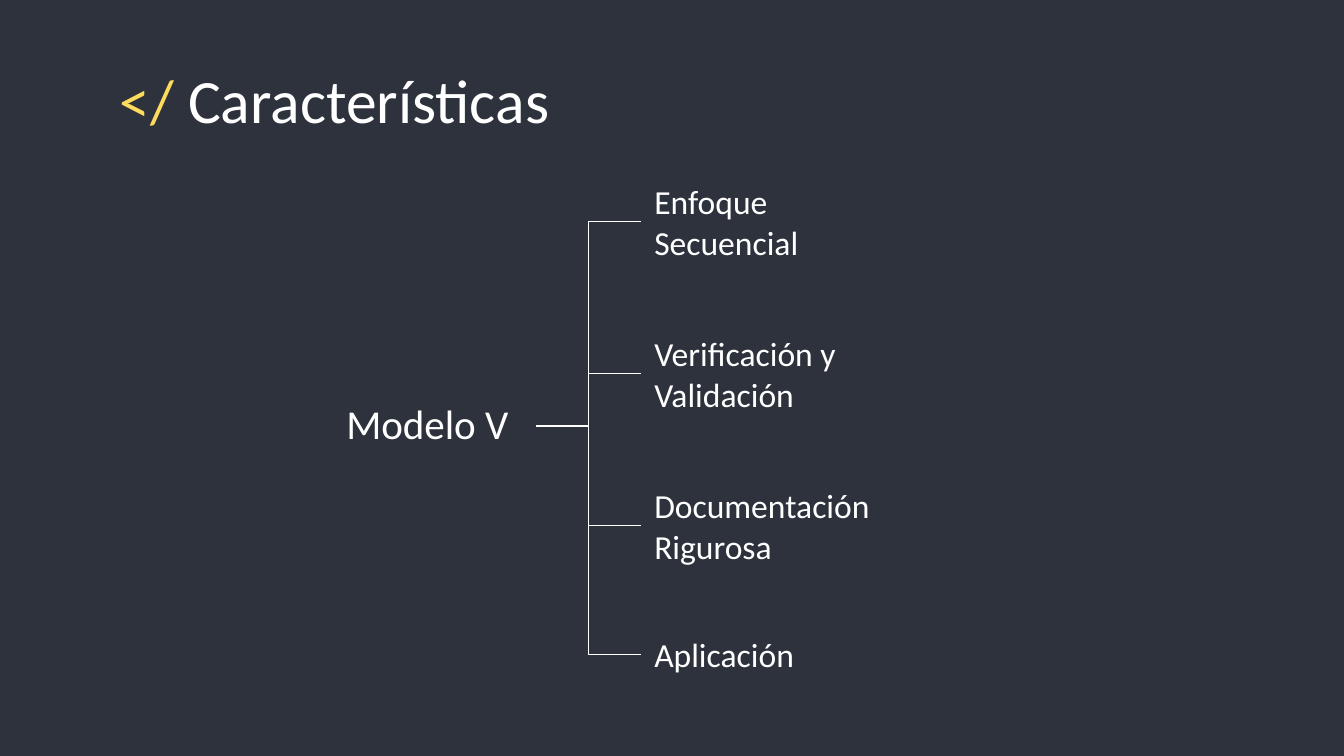
from dataclasses import dataclass

from lxml.etree import SubElement
from pptx import Presentation
from pptx.dml.color import RGBColor
from pptx.enum.shapes import MSO_CONNECTOR
from pptx.enum.text import MSO_ANCHOR as Anchor, MSO_AUTO_SIZE, PP_ALIGN as Align
from pptx.oxml.ns import qn
from pptx.slide import Slide
from pptx.text.text import TextFrame
from pptx.util import Inches, Pt

FONT = "Calibri"
BACKGROUND = "2D323C"
WHITE = "FFFFFF"
YELLOW = "FFDB5D"

SLIDE_WIDTH = 10
SLIDE_HEIGHT = SLIDE_WIDTH * 9 / 16
BOX_HEIGHT = 0.5
STEM_X, STEM_Y = 3.99, 3.17
BRANCH_X = 4.77


@dataclass(frozen=True)
class Feature:
    text: str
    top: float
    width: float

    @property
    def middle(self) -> float:
        return self.top + BOX_HEIGHT / 2


FEATURES = [
    Feature("Enfoque Secuencial", 1.4, 1.82),
    Feature("Verificación y Validación", 2.53, 1.99),
    Feature("Documentación Rigurosa", 3.66, 2.53),
    Feature("Aplicación", 4.62, 1.7),
]


def rgb(hex_color: str) -> RGBColor:
    return RGBColor.from_string(hex_color)


def format_frame(frame: TextFrame, anchor: Anchor, align: Align) -> None:
    frame.word_wrap = True
    frame.auto_size = MSO_AUTO_SIZE.NONE
    frame.vertical_anchor = anchor
    frame.margin_left = frame.margin_right = Inches(0.1)
    frame.margin_top = frame.margin_bottom = Inches(0.1)
    frame.paragraphs[0].alignment = align


def add_run(frame: TextFrame, text: str, size: float, color: str = WHITE) -> None:
    run = frame.paragraphs[0].add_run()
    run.text = text
    run.font.name = FONT
    run.font.size = Pt(size)
    run.font.color.rgb = rgb(color)


def add_label(slide: Slide, text: str, left: float, top: float, width: float,
              size: float, anchor: Anchor, align: Align) -> None:
    label = slide.shapes.add_textbox(
        Inches(left), Inches(top), Inches(width), Inches(BOX_HEIGHT))
    format_frame(label.text_frame, anchor, align)
    add_run(label.text_frame, text, size)


def add_branch(slide: Slide, end_y: float) -> None:
    """Draw an elbow line from the stem to a feature at height end_y."""
    branch = slide.shapes.add_connector(
        MSO_CONNECTOR.ELBOW, Inches(STEM_X), Inches(STEM_Y),
        Inches(BRANCH_X), Inches(end_y))
    branch.line.color.rgb = rgb(WHITE)
    branch.line.width = Pt(0.75)
    SubElement(branch._element.spPr, qn("a:effectLst"))


def add_title(slide: Slide) -> None:
    title = slide.shapes.title
    title.left, title.top = Inches(0.79), Inches(0.36)
    title.width, title.height = Inches(8.43), Inches(0.63)
    format_frame(title.text_frame, Anchor.TOP, Align.LEFT)
    add_run(title.text_frame, "</ ", 33, YELLOW)
    add_run(title.text_frame, "Características", 33)


def main() -> None:
    deck = Presentation()
    deck.slide_width, deck.slide_height = Inches(SLIDE_WIDTH), Inches(SLIDE_HEIGHT)
    slide = deck.slides.add_slide(deck.slide_layouts.get_by_name("Title Only"))
    slide.background.fill.solid()
    slide.background.fill.fore_color.rgb = rgb(BACKGROUND)

    add_title(slide)
    add_label(slide, "Modelo V", 1.98, 2.93, 2.4, 22, Anchor.BOTTOM, Align.CENTER)
    for feature in FEATURES:
        add_label(slide, feature.text, BRANCH_X, feature.top, feature.width,
                  18, Anchor.MIDDLE, Align.LEFT)
        add_branch(slide, feature.middle)

    deck.save("out.pptx")


if __name__ == "__main__":
    main()
